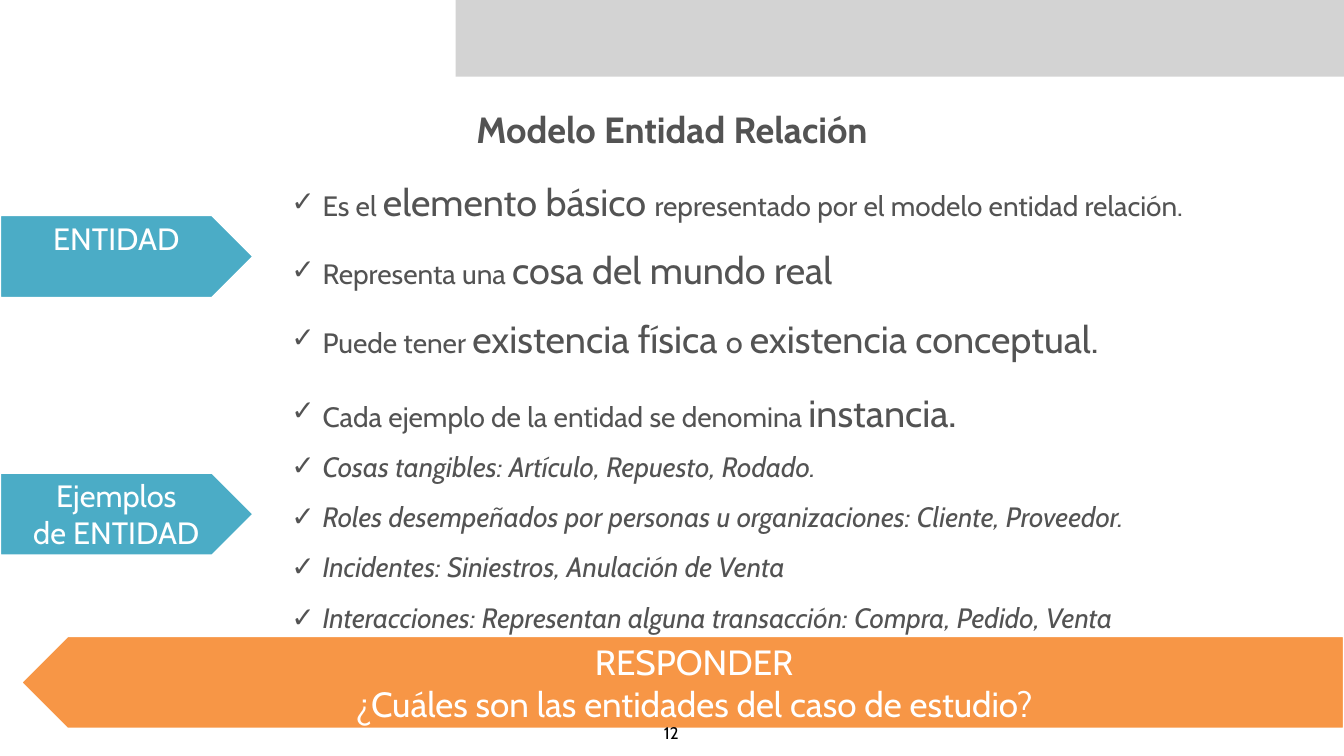
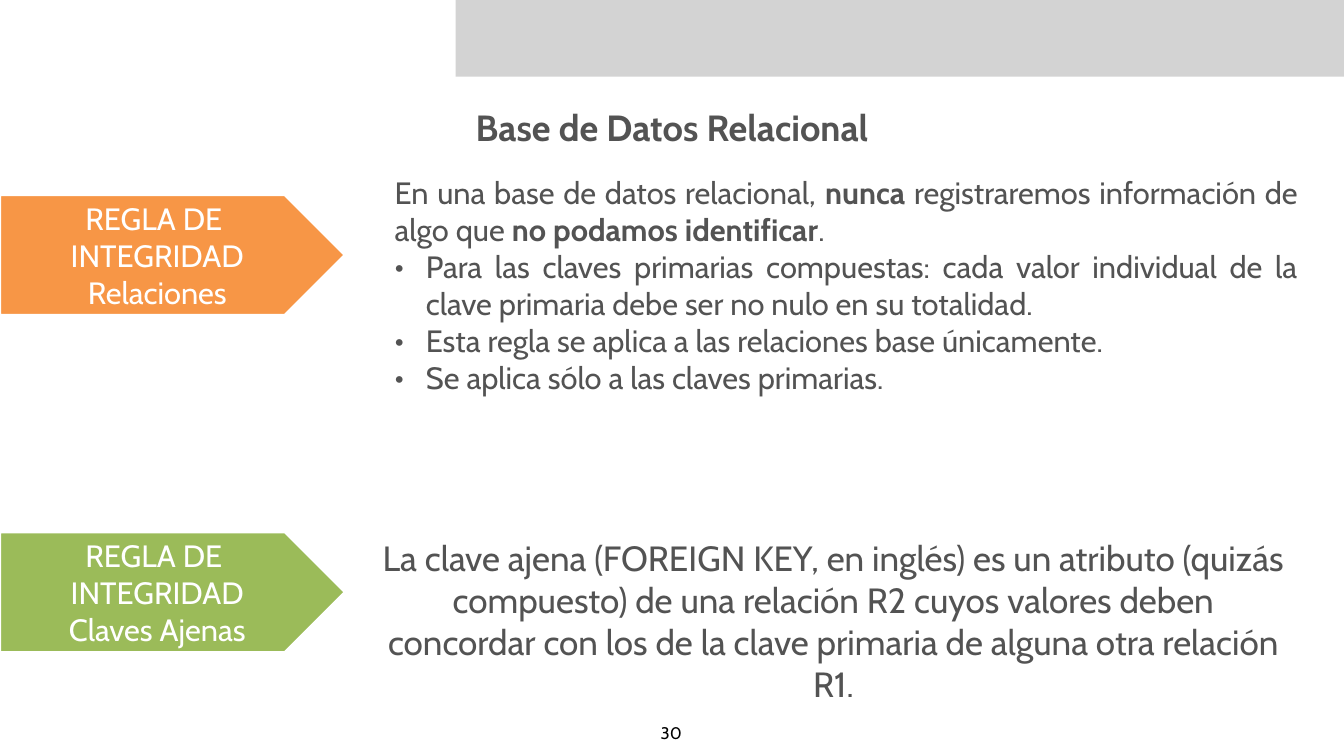
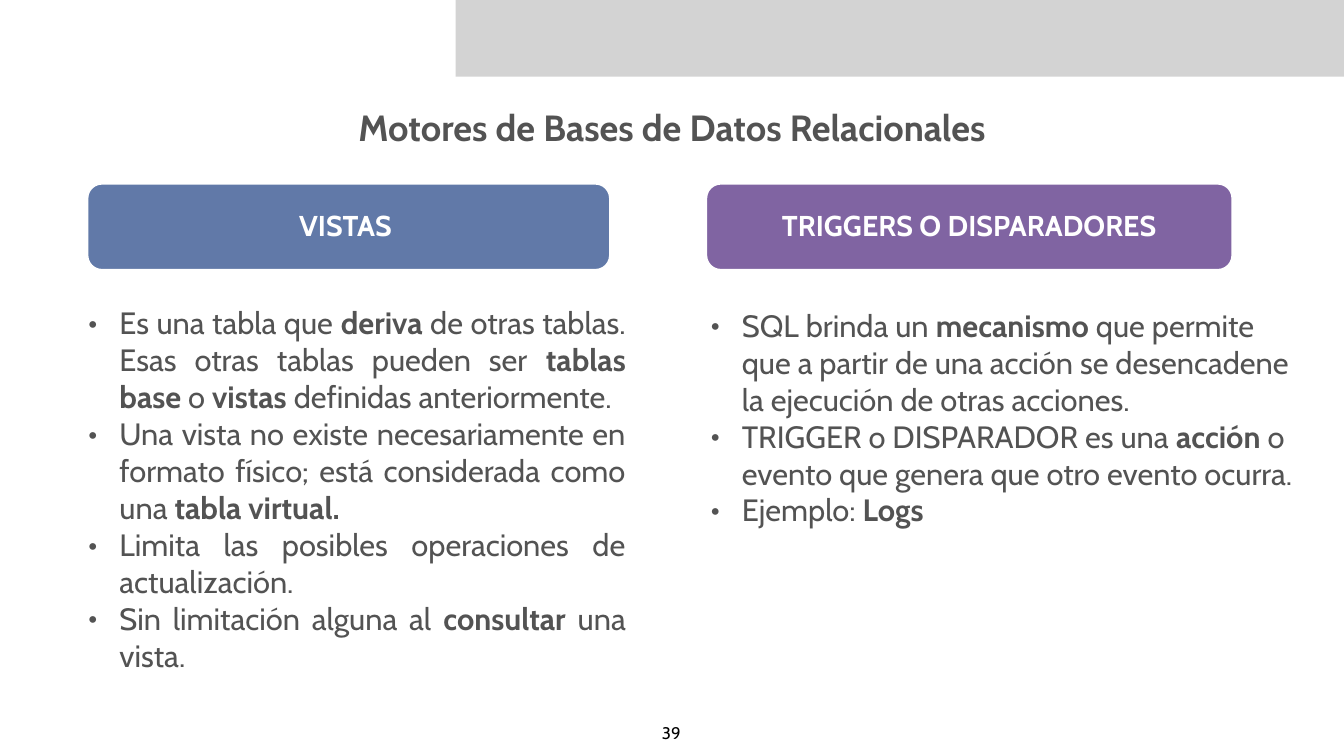
import pptx
import pptx.util
import pptx.dml.color
import pptx.enum.shapes
import pptx.enum.text
import pptx.oxml.ns
from lxml import etree

Inches = pptx.util.Inches
RGB = pptx.dml.color.RGBColor
Shape = pptx.enum.shapes.MSO_SHAPE
Align = pptx.enum.text.PP_ALIGN
Anchor = pptx.enum.text.MSO_ANCHOR
Fit = pptx.enum.text.MSO_AUTO_SIZE

WHITE = RGB(0xFF, 0xFF, 0xFF)
BLACK = RGB(0, 0, 0)
INK = RGB(0x53, 0x53, 0x53)
GREY = RGB(0xD3, 0xD3, 0xD3)
TEAL = RGB(0x4B, 0xAC, 0xC6)
ORANGE = RGB(0xF7, 0x96, 0x46)
GREEN = RGB(0x9B, 0xBB, 0x59)
BLUE = RGB(0x61, 0x79, 0xA8)
PURPLE = RGB(0x80, 0x64, 0xA2)

FONT = "Cabin"
BOLD = {"bold": True}
BIG = {"size": 54}


def set_bullet(para, mark):
    props = para._p.get_or_add_pPr()
    indent = Inches(0.62) if mark else 0
    props.set("marL", str(indent))
    props.set("indent", str(-indent))
    qn = pptx.oxml.ns.qn
    if mark:
        etree.SubElement(props, qn("a:buFont"), typeface=FONT)
        etree.SubElement(props, qn("a:buChar"), char=mark)
    else:
        etree.SubElement(props, qn("a:buNone"))


def write(shape, paras, size=44, color=INK, bold=False, italic=False,
          align=Align.LEFT, anchor=Anchor.MIDDLE, spacing=1.0,
          bullet=None, plain=0, fit=Fit.SHAPE_TO_FIT_TEXT):
    frame = shape.text_frame
    frame.word_wrap = True
    frame.auto_size = fit
    frame.vertical_anchor = anchor
    frame.margin_left = frame.margin_right = Inches(0.08)
    frame.margin_top = frame.margin_bottom = Inches(0.08)
    for index, runs in enumerate(paras):
        para = frame.paragraphs[0] if index == 0 else frame.add_paragraph()
        set_bullet(para, bullet if index >= plain else None)
        para.alignment = align
        para.line_spacing = spacing
        para.space_before = para.space_after = pptx.util.Pt(0)
        for part in [runs] if isinstance(runs, str) else runs:
            text, style = (part, {}) if isinstance(part, str) else part
            run = para.add_run()
            run.text = text
            font = run.font
            font.name = FONT
            font.size = pptx.util.Pt(style.get("size", size))
            font.bold = style.get("bold", bold)
            font.italic = italic
            font.color.rgb = color


def place(shape, left, top, width, height):
    shape.left, shape.top = Inches(left), Inches(top)
    shape.width, shape.height = Inches(width), Inches(height)
    return shape


def add_box(slide, box, paras, **style):
    shape = slide.shapes.add_textbox(*map(Inches, box))
    write(shape, paras, **style)


def add_body(slide, index, box, paras, **style):
    write(place(slide.placeholders[index], *box), paras, **style)


def add_block(slide, kind, box, fill, line=3):
    shape = slide.shapes.add_shape(kind, *map(Inches, box))
    shape.shadow.inherit = False
    shape.fill.solid()
    shape.fill.fore_color.rgb = fill
    if line:
        shape.line.color.rgb = WHITE
        shape.line.width = pptx.util.Pt(line)
    else:
        shape.line.fill.background()
    return shape


def add_arrow(slide, box, fill, paras, flip=False, **style):
    shape = add_block(slide, Shape.PENTAGON, box, fill)
    if flip:
        shape.element.spPr.xfrm.set("flipH", "1")
    write(shape, paras, color=WHITE, align=Align.CENTER, **style)


def add_head(slide, left, width, fill, text):
    shape = add_block(slide, Shape.ROUNDED_RECTANGLE,
                      (left, 3.65, width, 1.7), fill, line=2)
    write(shape, [text], size=41, color=WHITE, bold=True,
          align=Align.CENTER, spacing=0.9, fit=Fit.NONE)


def add_slide(deck, layout, title, top=2.01):
    slide = deck.slides.add_slide(deck.slide_layouts[layout])
    write(place(slide.shapes.title, 5.29, top, 16.09, 1.03), [title],
          size=52, bold=True, align=Align.CENTER)
    return slide


def add_number(slide, number):
    add_box(slide, (12.82, 14.26, 1, 0.55), [str(number)], size=24,
            color=BLACK, align=Align.CENTER, anchor=Anchor.TOP, fit=Fit.NONE)


def move_band(deck, slide):
    band = add_block(slide, Shape.RECTANGLE, (9.04, -0.04, 17.68, 1.56),
                     GREY, line=0)
    tree = deck.slide_master.shapes[0].element.getparent()
    tree.insert(2, band.element)


def build_model(deck):
    slide = add_slide(deck, 3, "Modelo Entidad Relación", top=2.05)
    move_band(deck, slide)
    checks = {"size": 40, "spacing": 1.5, "bullet": "✓"}
    add_body(slide, 1, (5.7, 3, 20.35, 5.76), [
        ["Es el ", ("elemento básico ", BIG),
         "representado por el modelo entidad relación."],
        ["Representa una ", ("cosa del mundo real", BIG)],
        ["Puede tener ", ("existencia física ", BIG), ("o ", {"size": 44}),
         ("existencia conceptual.", BIG)],
        ["Cada ejemplo de la entidad se denomina ", ("instancia", BIG),
         (".", {"size": 60})],
    ], **checks)
    add_body(slide, 2, (5.7, 8.5, 19, 4.2), [
        "Cosas tangibles: Artículo, Repuesto, Rodado.",
        "Roles desempeñados por personas u organizaciones: "
        "Cliente, Proveedor.",
        "Incidentes: Siniestros, Anulación de Venta",
        "Interacciones: Representan alguna transacción: "
        "Compra, Pedido, Venta",
    ], italic=True, anchor=Anchor.TOP, **checks)
    add_arrow(slide, (0, 4.27, 5.03, 1.64), TEAL, ["ENTIDAD"],
              anchor=Anchor.TOP, fit=Fit.NONE)
    add_arrow(slide, (0, 9.38, 5.03, 1.64), TEAL, ["Ejemplos", "de ENTIDAD"])
    add_arrow(slide, (0.42, 12.62, 26.25, 1.84), ORANGE,
              ["RESPONDER", "¿Cuáles son las entidades del caso de estudio?"],
              flip=True, size=50)


def build_rules(deck):
    slide = add_slide(deck, 1, "Base de Datos Relacional")
    add_body(slide, 1, (7.75, 3.37, 18.09, 5.34), [
        ["En una base de datos relacional, ", ("nunca ", BOLD),
         "registraremos información de algo que ",
         ("no podamos identificar", BOLD), "."],
        "Para las claves primarias compuestas: cada valor individual de la "
        "clave primaria debe ser no nulo en su totalidad.",
        "Esta regla se aplica a las relaciones base únicamente.",
        "Se aplica sólo a las claves primarias.",
    ], align=Align.JUSTIFY, anchor=Anchor.TOP, bullet="•", plain=1)
    add_box(slide, (7.41, 10.56, 18.26, 3.52), [
        "La clave ajena (FOREIGN KEY, en inglés) es un atributo (quizás "
        "compuesto) de una relación R2 cuyos valores deben concordar con los "
        "de la clave primaria de alguna otra relación R1.",
    ], size=50, align=Align.CENTER)
    for top, fill, topic in ((3.87, ORANGE, "Relaciones"),
                             (10.56, GREEN, "Claves Ajenas")):
        add_arrow(slide, (0, top, 6.84, 2.38), fill,
                  ["REGLA DE ", "INTEGRIDAD", topic])


def build_tools(deck):
    slide = add_slide(deck, 3, "Motores de Bases de Datos Relacionales")
    add_head(slide, 1.74, 10.36, BLUE, "VISTAS ")
    add_head(slide, 14.02, 10.43, PURPLE, "TRIGGERS O DISPARADORES")
    dots = {"anchor": Anchor.TOP, "bullet": "•"}
    add_body(slide, 1, (1.67, 5.95, 10.83, 8.3), [
        ["Es una tabla que ", ("deriva", BOLD),
         " de otras tablas. Esas otras tablas pueden ser ",
         ("tablas base", BOLD), " o ", ("vistas ", BOLD),
         "definidas anteriormente."],
        ["Una vista no existe necesariamente en formato físico; está "
         "considerada como una ", ("tabla virtual.", BOLD)],
        "Limita las posibles operaciones de actualización.",
        ["Sin limitación alguna al ", ("consultar ", BOLD), "una vista."],
    ], align=Align.JUSTIFY, **dots)
    add_body(slide, 2, (14.02, 6, 12.06, 6.08), [
        ["SQL brinda un ", ("mecanismo", BOLD),
         " que permite que a partir de una acción se desencadene la "
         "ejecución de otras acciones."],
        ["TRIGGER o DISPARADOR es una ", ("acción", BOLD),
         " o evento que genera que otro evento ocurra."],
        ["Ejemplo: ", ("Logs", BOLD)],
    ], **dots)


def main():
    deck = pptx.Presentation()
    deck.slide_width, deck.slide_height = Inches(26.67), Inches(15)
    build_model(deck)
    build_rules(deck)
    build_tools(deck)
    for slide, number in zip(deck.slides, (12, 30, 39)):
        add_number(slide, number)
    deck.save("out.pptx")


if __name__ == "__main__":
    main()
